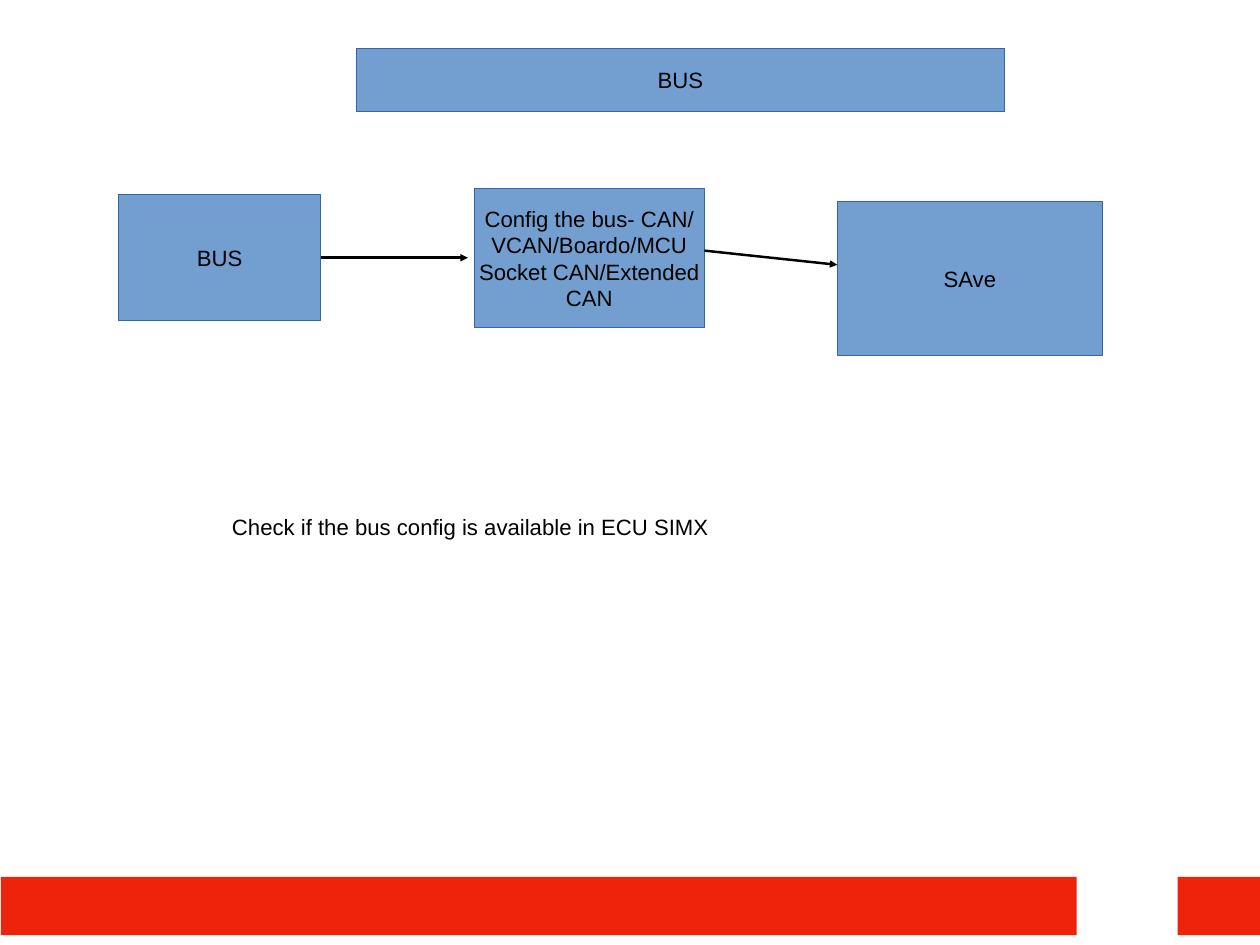
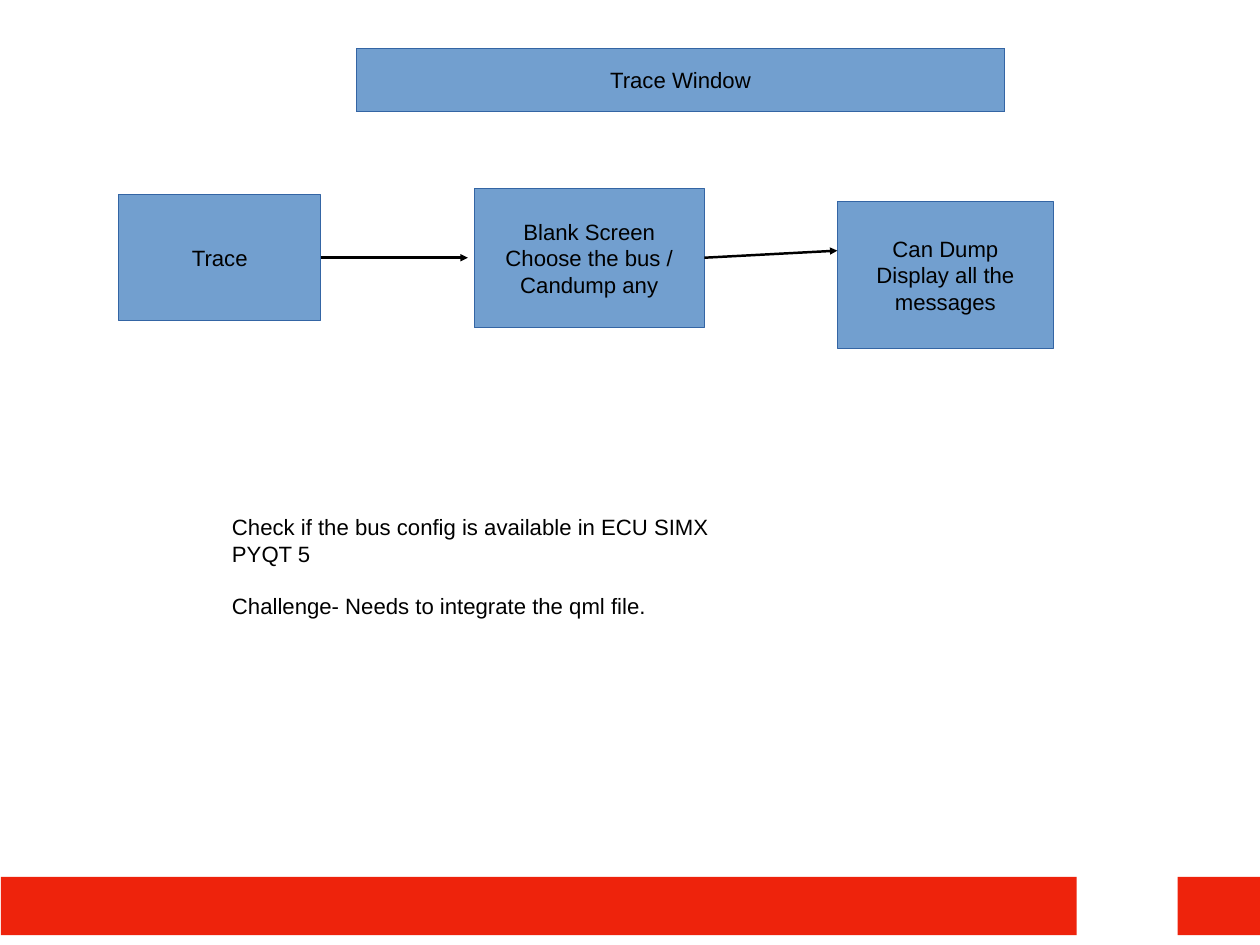
"""Build two flow slides for the bus and the trace window."""
import pptx
import pptx.dml.color
import pptx.enum.shapes
import pptx.enum.text
import pptx.oxml.ns
import pptx.util
from lxml import etree

Inches = pptx.util.Inches
RGBColor = pptx.dml.color.RGBColor
ALIGN = pptx.enum.text.PP_ALIGN
ANCHOR = pptx.enum.text.MSO_ANCHOR

RED = RGBColor(0xEE, 0x23, 0x0C)
BLUE = RGBColor(0x72, 0x9F, 0xCF)
EDGE = RGBColor(0x34, 0x65, 0xA4)
BLACK = RGBColor(0, 0, 0)
FONT = "Arial"
SIZE = 18
PARAGRAPH_GAP = 20.7

BANDS = [(0.01, 9.9, 12.14, 0.66), (13.29, 9.9, 0.93, 0.66)]
TITLE_AREA = (4.02, 0.55, 7.32, 0.71)
START_AREA = (1.34, 2.2, 2.28, 1.42)
CONFIG_AREA = (5.35, 2.13, 2.6, 1.57)
RESULT_CORNER = (9.45, 2.28)
FIRST_ARROW = (3.62, 2.91, 5.28, 2.91)

SLIDES = [
    {
        "title": "BUS",
        "start": ["BUS"],
        "config": ["Config the bus- CAN/", "VCAN/Boardo/MCU", "Socket CAN/Extended", "CAN"],
        "result": ["SAve"],
        "result_size": (2.99, 1.73),
        "second_arrow": (7.95, 2.83, 9.45, 2.99),
        "notes": [("Check if the bus config is available in ECU SIMX", 0)],
        "notes_height": 0.38,
    },
    {
        "title": "Trace Window",
        "start": ["Trace"],
        "config": ["Blank Screen", "Choose the bus /", "Candump any"],
        "result": ["Can Dump", "Display all the", "messages"],
        "result_size": (2.44, 1.65),
        "second_arrow": (7.95, 2.91, 9.45, 2.83),
        "notes": [
            ("Check if the bus config is available in ECU SIMX", 0),
            ("PYQT 5", 0),
            ("Challenge- Needs to integrate the qml file.", PARAGRAPH_GAP),
        ],
        "notes_height": 1.22,
    },
]


def write_text(shape, lines, align=ALIGN.CENTER, anchor=ANCHOR.MIDDLE, wrap=False):
    """Fill a shape with (text, space before) lines."""
    frame = shape.text_frame
    frame.auto_size = pptx.enum.text.MSO_AUTO_SIZE.NONE
    frame.word_wrap = wrap
    frame.vertical_anchor = anchor
    for index, (text, gap) in enumerate(lines):
        para = frame.paragraphs[0] if index == 0 else frame.add_paragraph()
        para.alignment = align
        if gap:
            para.space_before = pptx.util.Pt(gap)
        span = para.add_run()
        span.text = text
        span.font.name = FONT
        span.font.size = pptx.util.Pt(SIZE)
        span.font.color.rgb = BLACK


def paint(shape, fill, edge=None):
    """Set the fill and outline of a shape."""
    shape.fill.solid()
    shape.fill.fore_color.rgb = fill
    if edge is None:
        shape.line.fill.background()
    else:
        shape.line.color.rgb = edge
        shape.line.width = 0


def add_box(page, area, fill, edge=None, lines=()):
    """Add a rectangle with optional centred lines."""
    box = page.shapes.add_shape(pptx.enum.shapes.MSO_SHAPE.RECTANGLE, *map(Inches, area))
    box.shadow.inherit = False
    paint(box, fill, edge)
    write_text(box, [(line, 0) for line in lines])


def add_arrow(page, ends):
    """Add a hairline arrow between two points."""
    arrow = page.shapes.add_connector(
        pptx.enum.shapes.MSO_CONNECTOR.STRAIGHT, *map(Inches, ends))
    arrow.line.color.rgb = BLACK
    arrow.line.width = 0
    qn = pptx.oxml.ns.qn
    properties = arrow.element.find(qn("p:spPr"))
    etree.SubElement(properties.find(qn("a:ln")), qn("a:tailEnd"), type="triangle")
    etree.SubElement(properties, qn("a:effectLst"))


def add_title(page, text):
    """Format the title placeholder as the heading bar."""
    title = page.shapes.title
    title.left, title.top, title.width, title.height = map(Inches, TITLE_AREA)
    paint(title, BLUE, EDGE)
    write_text(title, [(text, 0)])


def build_page(deck, content):
    """Add one flow slide."""
    page = deck.slides.add_slide(deck.slide_layouts.get_by_name("Title Only"))
    for band in BANDS:
        add_box(page, band, RED)
    add_title(page, content["title"])
    flow = [
        (START_AREA, content["start"]),
        (CONFIG_AREA, content["config"]),
        (RESULT_CORNER + content["result_size"], content["result"]),
    ]
    for area, lines in flow:
        add_box(page, area, BLUE, EDGE, lines)
    for ends in (FIRST_ARROW, content["second_arrow"]):
        add_arrow(page, ends)
    notes = page.shapes.add_textbox(
        Inches(2.52), Inches(5.75), Inches(6.46), Inches(content["notes_height"]))
    write_text(notes, content["notes"], align=ALIGN.LEFT, anchor=ANCHOR.TOP, wrap=True)


def main():
    """Build and save the deck."""
    deck = pptx.Presentation()
    deck.slide_width, deck.slide_height = Inches(14.22), Inches(10.67)
    for content in SLIDES:
        build_page(deck, content)
    deck.save("out.pptx")


if __name__ == "__main__":
    main()
